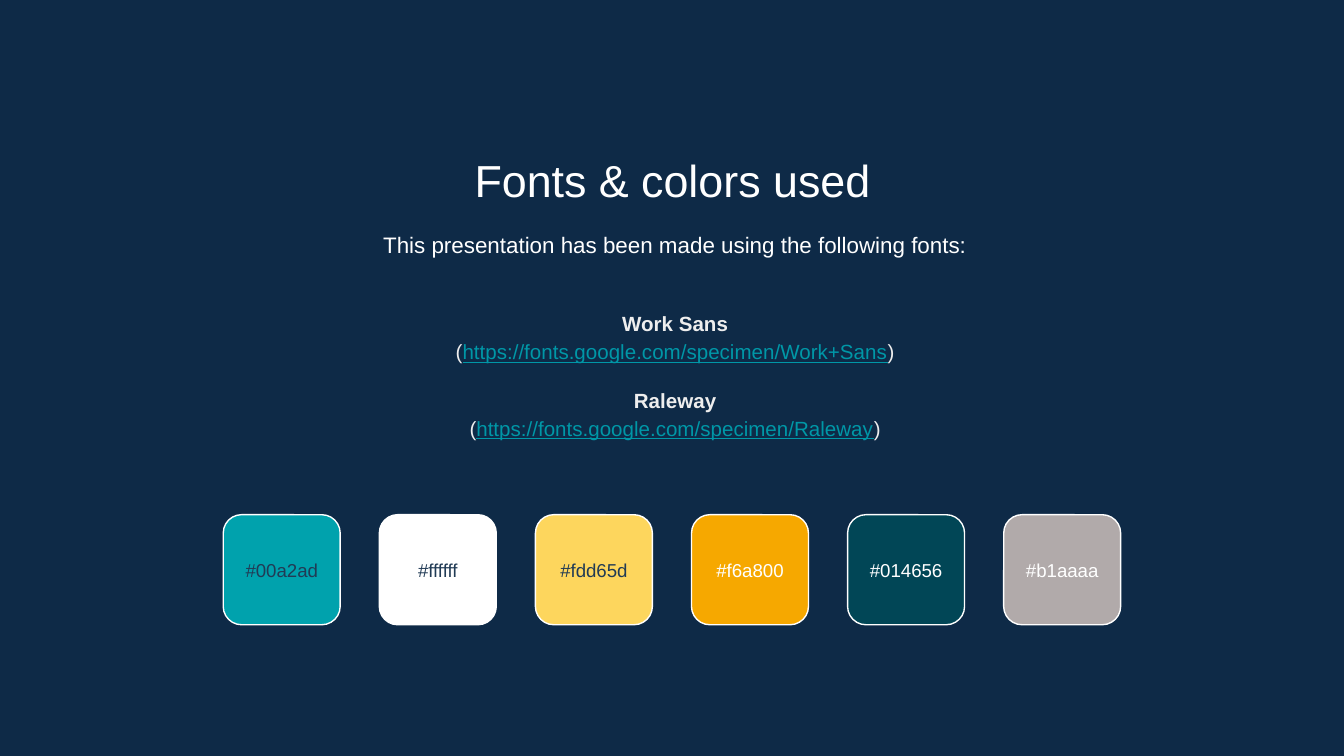
import dataclasses

import pptx
import pptx.dml.color
import pptx.enum.shapes
import pptx.enum.text
import pptx.util

Cm = pptx.util.Cm
Pt = pptx.util.Pt
MIDDLE = pptx.enum.text.MSO_ANCHOR.MIDDLE
TOP = pptx.enum.text.MSO_ANCHOR.TOP


@dataclasses.dataclass(frozen=True)
class Theme:
    font: str = "Arial"
    background: str = "0E2A47"
    light: str = "FFFFFF"
    soft: str = "EEEEEE"
    dark: str = "213B55"
    link: str = "0097A7"
    title_size: float = 24
    intro_size: float = 12
    list_size: float = 11
    label_size: float = 10


THEME = Theme()

FONT_SOURCES = [
    ("Work Sans", "https://fonts.google.com/specimen/Work+Sans"),
    ("Raleway", "https://fonts.google.com/specimen/Raleway"),
]

PALETTE = [
    ("#00a2ad", THEME.dark),
    ("#ffffff", THEME.dark),
    ("#fdd65d", THEME.dark),
    ("#f6a800", THEME.light),
    ("#014656", THEME.light),
    ("#b1aaaa", THEME.light),
]

SLIDE_WIDTH, SLIDE_HEIGHT = 25.4, 14.29
SWATCH_TOP, SWATCH_WIDTH, SWATCH_HEIGHT = 9.73, 2.21, 2.08
SWATCH_PITCH = 2.95
LABEL_HEIGHT = 1.22


def rgb(color):
    return pptx.dml.color.RGBColor.from_string(color.lstrip("#").upper())


def style_font(font, size, color, bold=False, underline=False):
    font.name = THEME.font
    font.size = Pt(size)
    font.color.rgb = rgb(color)
    font.bold = bold
    font.underline = underline


def add_text_frame(slide, left, top, width, height, anchor):
    frame = slide.shapes.add_textbox(Cm(left), Cm(top), Cm(width), Cm(height)).text_frame
    frame.word_wrap = True
    frame.vertical_anchor = anchor
    frame.margin_left = frame.margin_right = Cm(0.25)
    frame.margin_top = frame.margin_bottom = Cm(0.25)
    return frame


def add_line(slide, text, box, size, color, anchor=TOP, spacing=1.0):
    frame = add_text_frame(slide, *box, anchor)
    frame.text = text
    line = frame.paragraphs[0]
    line.alignment = pptx.enum.text.PP_ALIGN.CENTER
    line.line_spacing = spacing
    style_font(line.runs[0].font, size, color)


def add_font_list(slide, box):
    frame = add_text_frame(slide, *box, MIDDLE)
    for index, (family, address) in enumerate(FONT_SOURCES):
        name = frame.add_paragraph() if index else frame.paragraphs[0]
        if index:
            name.space_before = Pt(10.6)
        name.text = family
        style_font(name.runs[0].font, THEME.list_size, THEME.soft, bold=True)

        source = frame.add_paragraph()
        for part in ("(", address, ")"):
            run = source.add_run()
            run.text = part
            is_address = part == address
            color = THEME.link if is_address else THEME.soft
            style_font(run.font, THEME.list_size, color, underline=is_address)

    for paragraph in frame.paragraphs:
        paragraph.alignment = pptx.enum.text.PP_ALIGN.CENTER
        paragraph.line_spacing = 1.15


def add_swatch(slide, left, code, label_color):
    swatch = slide.shapes.add_shape(
        pptx.enum.shapes.MSO_SHAPE.ROUNDED_RECTANGLE,
        Cm(left), Cm(SWATCH_TOP), Cm(SWATCH_WIDTH), Cm(SWATCH_HEIGHT),
    )
    swatch.shadow.inherit = False
    swatch.fill.solid()
    swatch.fill.fore_color.rgb = rgb(code)
    swatch.line.color.rgb = rgb(THEME.light)
    swatch.line.width = Pt(0.75)

    label_top = SWATCH_TOP + (SWATCH_HEIGHT - LABEL_HEIGHT) / 2
    label_box = (left, label_top, SWATCH_WIDTH, LABEL_HEIGHT)
    add_line(slide, code, label_box, THEME.label_size, label_color, anchor=MIDDLE)


def add_palette(slide):
    row_width = SWATCH_PITCH * (len(PALETTE) - 1) + SWATCH_WIDTH
    row_left = (SLIDE_WIDTH - row_width) / 2
    for index, (code, label_color) in enumerate(PALETTE):
        add_swatch(slide, row_left + index * SWATCH_PITCH, code, label_color)


def main():
    presentation = pptx.Presentation()
    presentation.slide_width = Cm(SLIDE_WIDTH)
    presentation.slide_height = Cm(SLIDE_HEIGHT)
    slide = presentation.slides.add_slide(presentation.slide_layouts[6])
    slide.background.fill.solid()
    slide.background.fill.fore_color.rgb = rgb(THEME.background)

    add_line(slide, "Fonts & colors used", (2.92, 2.64, 19.58, 1.35),
             THEME.title_size, THEME.light)
    add_line(slide, "This presentation has been made using the following fonts:",
             (2.97, 4.04, 19.58, 1.22), THEME.intro_size, THEME.light, spacing=1.15)
    add_font_list(slide, (2.97, 5.33, 19.58, 3.48))
    add_palette(slide)
    presentation.save("out.pptx")


if __name__ == "__main__":
    main()
